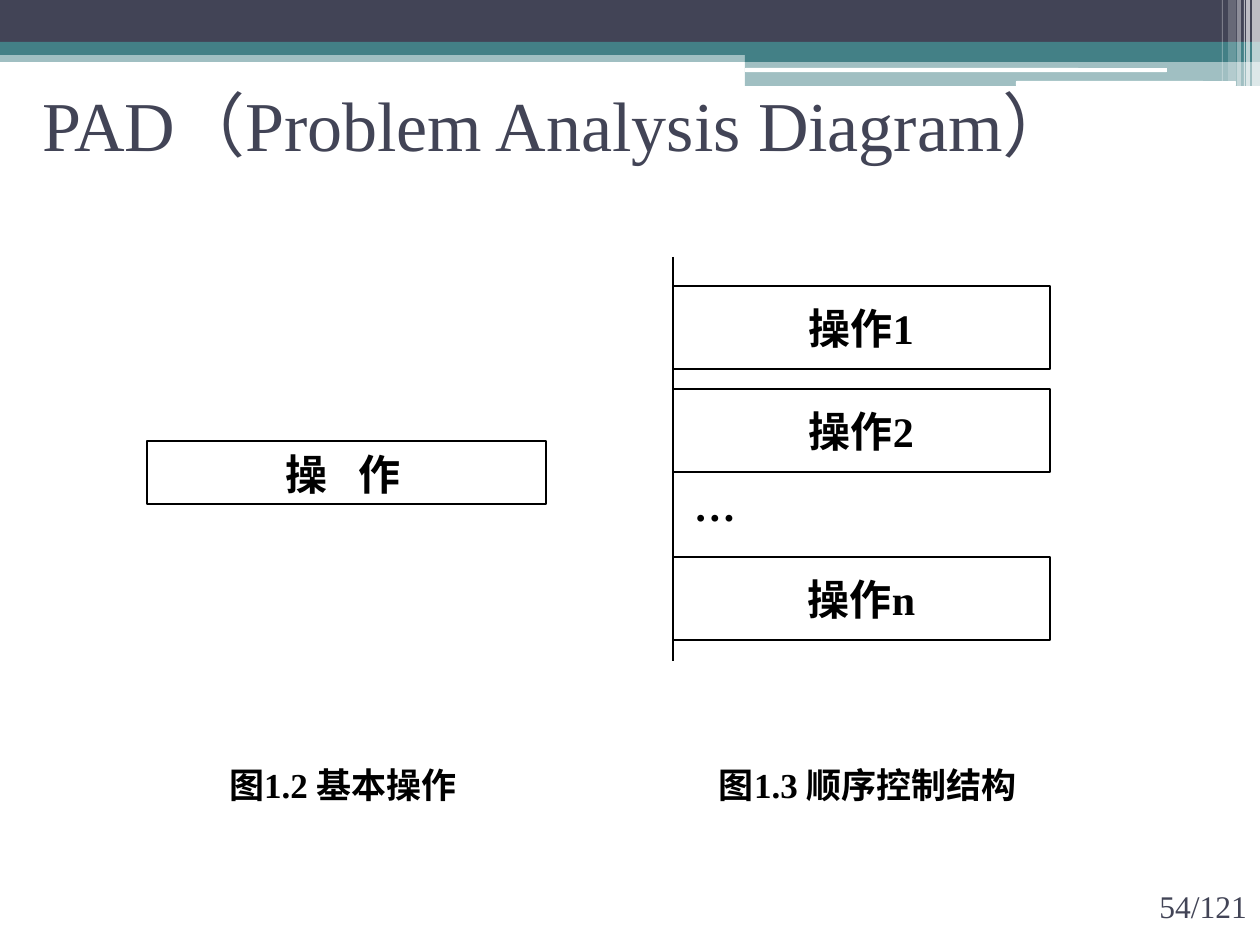
from lxml import etree
from pptx import Presentation
from pptx.dml.color import RGBColor
from pptx.enum.shapes import MSO_CONNECTOR, MSO_SHAPE
from pptx.enum.text import MSO_ANCHOR, PP_ALIGN
from pptx.oxml.ns import qn
from pptx.util import Emu, Pt

RECT, ROUND = MSO_SHAPE.RECTANGLE, MSO_SHAPE.ROUNDED_RECTANGLE
STRAIGHT = MSO_CONNECTOR.STRAIGHT
TOP, MIDDLE = MSO_ANCHOR.TOP, MSO_ANCHOR.MIDDLE
LEFT, CENTER, RIGHT = PP_ALIGN.LEFT, PP_ALIGN.CENTER, PP_ALIGN.RIGHT

PX_PER_INCH = 126
WIDTH, HEIGHT = 1260, 945
FONT = "Times New Roman"
COLORS = {"navy": "424456", "teal": "438086", "white": "FFFFFF", "black": "000000"}

WIDE_INSETS = (13, 6, 13, 6)
CAPTION_INSETS = (1, 8, 8, 1)
TIGHT_INSETS = (1, 1, 1, 1)

BANDS = [
    (RECT, (0, 50, WIDTH, 12), "teal", 50),
    (RECT, (0, 0, WIDTH, 42), "navy", 100),
    (RECT, (0, 42, WIDTH, 13), "teal", 100),
    (RECT, (745, 49, 515, 13), "teal", 100),
    (RECT, (745, 61, 515, 25), "teal", 50),
    (ROUND, (745, 68, 422, 4), "white", 100),
    (ROUND, (1016, 81, 220, 5), "white", 100),
]
STRIPES = [
    (1252, 8, 86, 65),
    (1246, 4, 86, 65),
    (1244, 1, 86, 60),
    (1237, 4, 86, 40),
    (1228, 8, 81, 20),
    (1222, 1, 81, 30),
]

SEQUENCE_LEFT = 673
STEPS = [("操作1", 286), ("操作2", 389), ("操作n", 557)]
CAPTIONS = [("图1.2 基本操作", 147), ("图1.3 顺序控制结构", 672)]


def px(value):
    return Emu(round(value * 914400 / PX_PER_INCH))


def color(name):
    return RGBColor.from_string(COLORS[name])


def add_band(page, kind, area, fill, opacity):
    band = page.shapes.add_shape(kind, *map(px, area))
    band.shadow.inherit = False
    band.line.fill.background()
    band.fill.solid()
    band.fill.fore_color.rgb = color(fill)
    if opacity < 100:
        shade = band.fill._xPr.find(qn("a:solidFill"))[0]
        etree.SubElement(shade, qn("a:alpha"), val=str(opacity * 1000))


def write(shape, text, size, align, anchor, insets, ink="black", bold=True):
    frame = shape.text_frame
    frame.word_wrap = True
    frame.vertical_anchor = anchor
    (frame.margin_left, frame.margin_top,
     frame.margin_right, frame.margin_bottom) = map(px, insets)
    para = frame.paragraphs[0]
    para.alignment = align
    para.font.size = Pt(size)
    para.font.name = FONT
    para.font.bold = bold
    para.font.color.rgb = color(ink)
    para.add_run().text = text
    return para


def add_text(page, area, *args, **style):
    return write(page.shapes.add_textbox(*map(px, area)), *args, **style)


def add_operation(page, area, *args):
    box = page.shapes.add_shape(RECT, *map(px, area))
    box.shadow.inherit = False
    box.fill.background()
    box.line.color.rgb = color("black")
    box.line.width = Pt(0.75)
    return write(box, *args)


def add_line(page, *ends):
    line = page.shapes.add_connector(STRAIGHT, *map(px, ends))
    line.line.color.rgb = color("black")
    line.line.width = Pt(1)
    etree.SubElement(line._element.spPr, qn("a:effectLst"))


def add_basic_operation(page):
    para = add_operation(page, (147, 441, 399, 63), "操", 24, CENTER, TOP, CAPTION_INSETS)
    gap = para.add_run()
    gap.text = " "
    gap._r.get_or_add_rPr().set("spc", "1200")
    para.add_run().text = "作"


def add_sequence(page):
    add_line(page, SEQUENCE_LEFT, 257, SEQUENCE_LEFT, 661)
    for label, top in STEPS:
        add_operation(page, (SEQUENCE_LEFT, top, 377, 83), label, 24, CENTER, MIDDLE, TIGHT_INSETS)
    add_text(page, (672, 479, 441, 78), "…", 24, LEFT, TOP, (22, 1, 1, 1))


def main():
    deck = Presentation()
    deck.slide_width, deck.slide_height = px(WIDTH), px(HEIGHT)
    page = deck.slides.add_slide(deck.slide_layouts[6])
    for band in BANDS:
        add_band(page, *band)
    for left, width, height, opacity in STRIPES:
        add_band(page, RECT, (left, 0, width, height), "white", opacity)
    add_text(page, (1123, 867, 137, 78), "54/121", 18, RIGHT, MIDDLE, WIDE_INSETS,
             ink="navy", bold=False)
    add_text(page, (29, 69, 1191, 108), "PAD（Problem Analysis Diagram）", 40, LEFT, MIDDLE,
             WIDE_INSETS, ink="navy", bold=False)
    add_basic_operation(page)
    add_sequence(page)
    for caption, left in CAPTIONS:
        add_text(page, (left, 756, 399, 63), caption, 20, CENTER, TOP, CAPTION_INSETS)
    deck.save("out.pptx")


if __name__ == "__main__":
    main()
